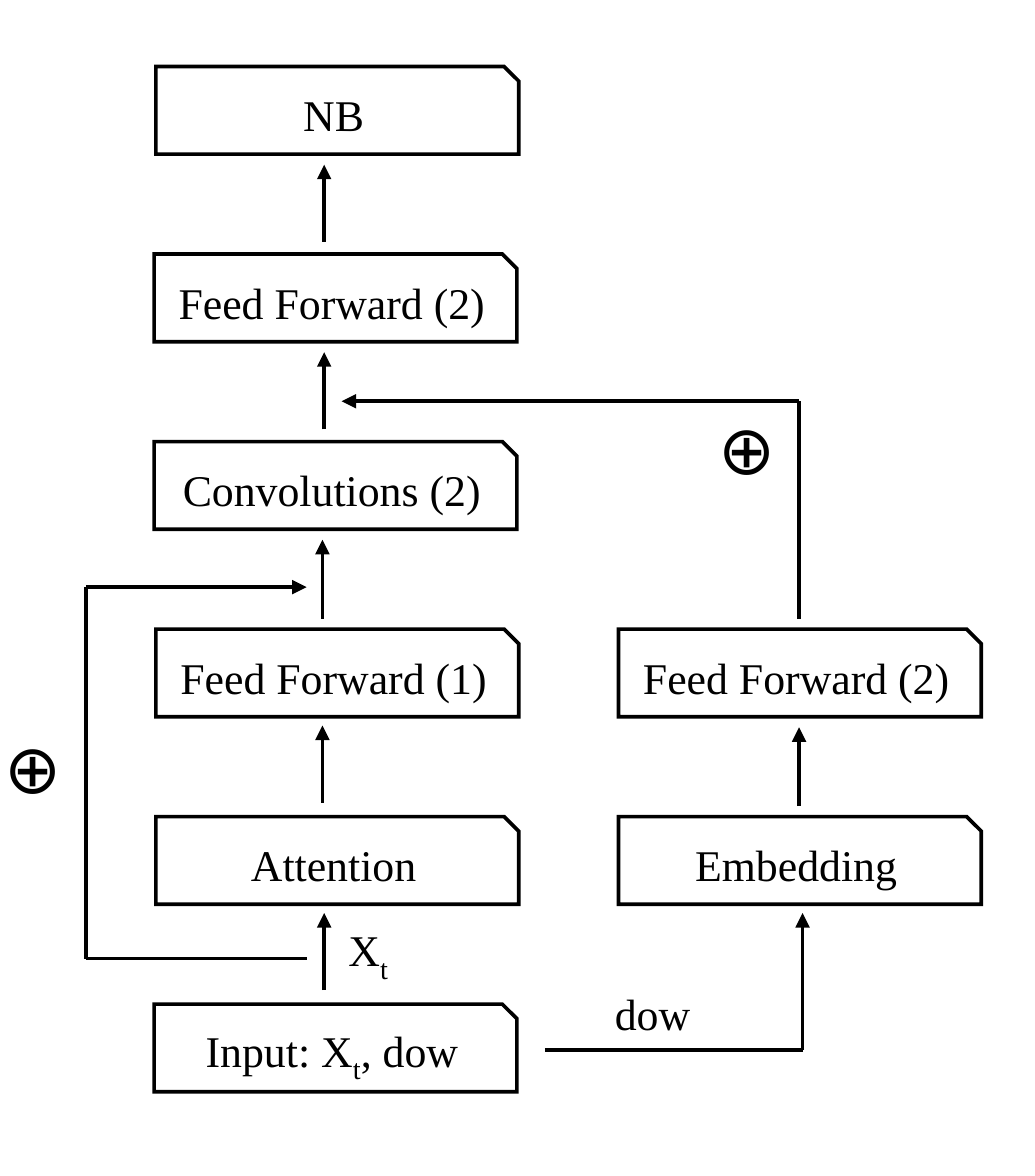
from dataclasses import dataclass

from lxml.etree import SubElement
from pptx import Presentation
from pptx.dml.color import RGBColor
from pptx.dml.line import LineFormat
from pptx.enum.shapes import MSO_CONNECTOR as Connector, MSO_SHAPE as Preset
from pptx.enum.text import MSO_ANCHOR as Anchor, MSO_AUTO_SIZE as AutoSize, PP_ALIGN as Align
from pptx.oxml.ns import qn
from pptx.shapes.shapetree import SlideShapes
from pptx.text.text import TextFrame
from pptx.util import Emu, Pt

PX = 9144  # 100 px to the inch
PAGE_WIDTH, PAGE_HEIGHT = Emu(5400675), Emu(6135688)
BOX_WIDTH, BOX_HEIGHT = 207, 50
FIRST_ROW, ROW_PITCH = 38, 107
SERIF, SYMBOL = "Times New Roman", "Lato"
COLOURS = {"ink": "000000", "paper": "FFFFFF"}

Spans = tuple[str, ...]  # every second span is a subscript
Point = tuple[int, int]


@dataclass(frozen=True)
class Layer:
    spans: Spans
    left: int
    row: int


@dataclass(frozen=True)
class Label:
    spans: Spans
    left: int
    top: int
    width: int
    height: int
    font: str = SERIF
    size: int = 18


@dataclass(frozen=True)
class Route:
    """A run of straight lines with an arrowhead at its last point."""
    points: tuple[Point, ...]


LAYERS = [
    Layer(("NB",), 89, 0),
    Layer(("Feed Forward (2)",), 88, 1),
    Layer(("Convolutions (2)",), 88, 2),
    Layer(("Feed Forward (1)",), 89, 3),
    Layer(("Attention",), 89, 4),
    Layer(("Input: X", "t", ", dow"), 88, 5),
    Layer(("Feed Forward (2)",), 353, 3),
    Layer(("Embedding",), 353, 4),
]

LABELS = [
    Label(("dow",), 341, 558, 72, 40),
    Label(("X", "t"), 189, 519, 72, 44),
    Label(("⊕",), 400, 227, 47, 57, SYMBOL, 28),
    Label(("⊕",), -7, 409, 63, 57, SYMBOL, 28),
]

ROUTES = [
    Route(((185, 565), (185, 521))),
    Route(((184, 458), (184, 414))),
    Route(((184, 353), (184, 308))),
    Route(((185, 245), (185, 201))),
    Route(((185, 138), (185, 94))),
    Route(((456, 460), (456, 415))),
    Route(((311, 599), (458, 599), (458, 521))),
    Route(((456, 353), (456, 229), (195, 229))),
    Route(((175, 547), (49, 547), (49, 335), (175, 335))),
]


def colour(name: str) -> RGBColor:
    return RGBColor.from_string(COLOURS[name])


def emu(*lengths: int) -> list[Emu]:
    return [Emu(length * PX) for length in lengths]


def ink(line: LineFormat) -> None:
    line.color.rgb = colour("ink")
    line.width = Pt(1.5)


def write(frame: TextFrame, spans: Spans, font: str, size: int, align: Align) -> None:
    frame.word_wrap = True
    para = frame.paragraphs[0]
    para.alignment = align
    para.font.name = font
    para.font.size = Pt(size)
    para.font.color.rgb = colour("ink")
    for index, text in enumerate(spans):
        span = para.add_run()
        span.text = text
        if index % 2:
            span.font.size = Pt(20)
            span.font._element.set("baseline", "-25000")


def draw_layer(shapes: SlideShapes, layer: Layer) -> None:
    top = FIRST_ROW + layer.row * ROW_PITCH
    box = shapes.add_shape(Preset.SNIP_1_RECTANGLE, *emu(layer.left, top, BOX_WIDTH, BOX_HEIGHT))
    box.shadow.inherit = False
    box.fill.solid()
    box.fill.fore_color.rgb = colour("paper")
    ink(box.line)
    SubElement(box._element.spPr.find(qn("a:ln")), qn("a:miter"), lim="800000")
    box.text_frame.vertical_anchor = Anchor.MIDDLE
    write(box.text_frame, layer.spans, SERIF, 18, Align.CENTER)


def draw_label(shapes: SlideShapes, label: Label) -> None:
    box = shapes.add_textbox(*emu(label.left, label.top, label.width, label.height))
    write(box.text_frame, label.spans, label.font, label.size, Align.LEFT)
    box.text_frame.auto_size = AutoSize.SHAPE_TO_FIT_TEXT


def draw_route(shapes: SlideShapes, route: Route) -> None:
    for start, end in zip(route.points, route.points[1:]):
        connector = shapes.add_connector(Connector.STRAIGHT, *emu(*start, *end))
        ink(connector.line)
        properties = connector._element.spPr
        SubElement(properties, qn("a:effectLst"))
        if end == route.points[-1]:
            SubElement(properties.find(qn("a:ln")), qn("a:tailEnd"), type="triangle")


def main() -> None:
    deck = Presentation()
    deck.slide_width, deck.slide_height = PAGE_WIDTH, PAGE_HEIGHT
    page = deck.slides.add_slide(deck.slide_layouts[6])
    for layer in LAYERS:
        draw_layer(page.shapes, layer)
    for route in ROUTES:
        draw_route(page.shapes, route)
    for label in LABELS:
        draw_label(page.shapes, label)
    deck.save("out.pptx")


if __name__ == "__main__":
    main()
